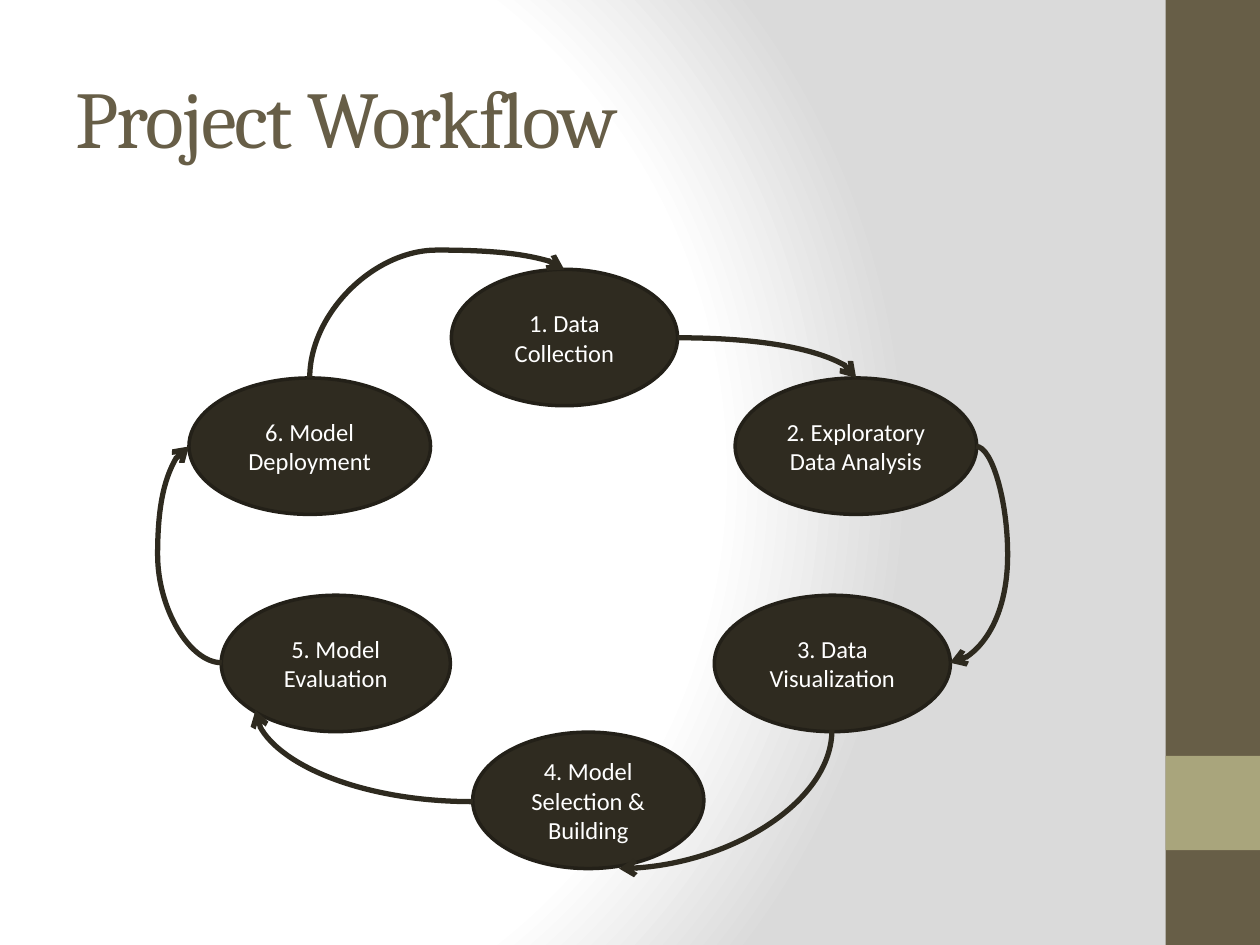
from pptx import Presentation
from pptx.dml.color import RGBColor
from pptx.enum.shapes import MSO_CONNECTOR, MSO_SHAPE
from pptx.enum.text import MSO_ANCHOR, PP_ALIGN
from pptx.oxml import parse_xml
from pptx.oxml.ns import nsdecls, qn
from pptx.util import Cm, Pt
from lxml.etree import SubElement

BROWN = RGBColor(0x67, 0x5E, 0x47)
OLIVE = RGBColor(0xA9, 0xA5, 0x7C)
DARK = RGBColor(0x2F, 0x2B, 0x20)
EDGE = RGBColor(0x23, 0x20, 0x18)
ARROW = RGBColor(0x2E, 0x2A, 0x1F)
WHITE = RGBColor(0xFF, 0xFF, 0xFF)
GREY = RGBColor(0xDA, 0xDA, 0xDA)

STEPS = [
    ("1. Data Collection", 9.1, 5.43, 4.56),
    ("2. Exploratory Data Analysis", 14.82, 7.62, 4.87),
    ("3. Data Visualization", 14.4, 12, 4.76),
    ("4. Model Selection & Building", 9.53, 14.76, 4.66),
    ("5. Model Evaluation", 4.46, 12, 4.62),
    ("6. Model Deployment", 3.81, 7.62, 4.87),
]
LINKS = [
    ((13.66, 6.81, 3.6, 0.81), 0, "", None),
    ((19.15, 9, 0.53, 4.36), 0, "h", -1.2),
    ((13.23, 13.97, 2.79, 4.29), 90, "", None),
    ((5.15, 14.32, 4.38, 1.84), 180, "", None),
    ((3.81, 9, 0.66, 4.36), 180, "", 1.96),
    ((7.72, 3.96, 2.18, 5.13), 90, "hv", 1.18),
]


class Deck:
    """Draws the styled elements of the current slide."""

    def __init__(self, slide):
        self.slide = slide
        self.shapes = slide.shapes

    def backdrop(self, stops):
        self.slide.background.fill.gradient()
        old = self.slide.element.xpath(".//a:gradFill")[0]
        marks = "".join(
            f'<a:gs pos="{pos * 1000}"><a:srgbClr val="{color}"/></a:gs>'
            for pos, color in stops
        )
        new = parse_xml(
            f'<a:gradFill {nsdecls("a")} rotWithShape="1"><a:gsLst>{marks}</a:gsLst>'
            '<a:path path="circle"><a:fillToRect l="20000" t="50000" '
            'r="100000" b="50000"/></a:path></a:gradFill>'
        )
        old.getparent().replace(old, new)

    def solid(self, kind, box, color):
        shape = self.shapes.add_shape(kind, *map(Cm, box))
        shape.shadow.inherit = False
        shape.fill.solid()
        shape.fill.fore_color.rgb = color
        return shape

    def band(self, box, color):
        self.solid(MSO_SHAPE.RECTANGLE, box, color).line.fill.background()

    def label(self, shape, text, face, size, color):
        frame = shape.text_frame
        frame.word_wrap = True
        frame.vertical_anchor = MSO_ANCHOR.MIDDLE
        para = frame.paragraphs[0]
        para.text = text
        font = para.font
        font.name, font.size, font.color.rgb = face, Pt(size), color
        return para

    def title(self, text, box):
        shape = self.shapes.add_textbox(*map(Cm, box))
        para = self.label(shape, text, "Cambria", 46, BROWN)
        para.runs[0].font._element.set("spc", "-100")

    def step(self, text, left, top, width):
        shape = self.solid(MSO_SHAPE.OVAL, (left, top, width, 2.75), DARK)
        shape.line.color.rgb = EDGE
        shape.line.width = Pt(2)
        para = self.label(shape, text, "Calibri", 14, WHITE)
        para.alignment = PP_ALIGN.CENTER

    def link(self, box, turn, flip, bend):
        left, top, width, height = box
        xs, ys = [left, left + width], [top, top + height]
        if "h" in flip:
            xs.reverse()
        if "v" in flip:
            ys.reverse()
        ends = (xs[0], ys[0], xs[1], ys[1])
        curve = self.shapes.add_connector(MSO_CONNECTOR.CURVE, *map(Cm, ends))
        curve.line.color.rgb = ARROW
        curve.line.width = Pt(3)
        props = curve._element.spPr
        props.find(qn("a:xfrm")).set("rot", str(turn * 60000))
        geom = props.find(qn("a:prstGeom"))
        if bend is None:
            geom.set("prst", "curvedConnector2")
        else:
            guide = SubElement(geom.find(qn("a:avLst")), qn("a:gd"))
            guide.set("name", "adj1")
            guide.set("fmla", f"val {round(bend * 100000)}")
        SubElement(props.find(qn("a:ln")), qn("a:tailEnd")).set("type", "arrow")
        SubElement(props, qn("a:effectLst"))


def main():
    show = Presentation()
    show.slide_width, show.slide_height = Cm(25.4), Cm(19.05)
    deck = Deck(show.slides.add_slide(show.slide_layouts[6]))
    deck.backdrop([(0, WHITE), (75, WHITE), (100, GREY)])
    deck.band((23.5, 0, 1.9, 19.05), BROWN)
    deck.band((23.5, 15.24, 1.9, 1.9), OLIVE)
    deck.title("Project Workflow", (1.27, 0.76, 21.16, 3.18))
    for step in STEPS:
        deck.step(*step)
    for link in LINKS:
        deck.link(*link)
    show.save("out.pptx")


if __name__ == "__main__":
    main()
